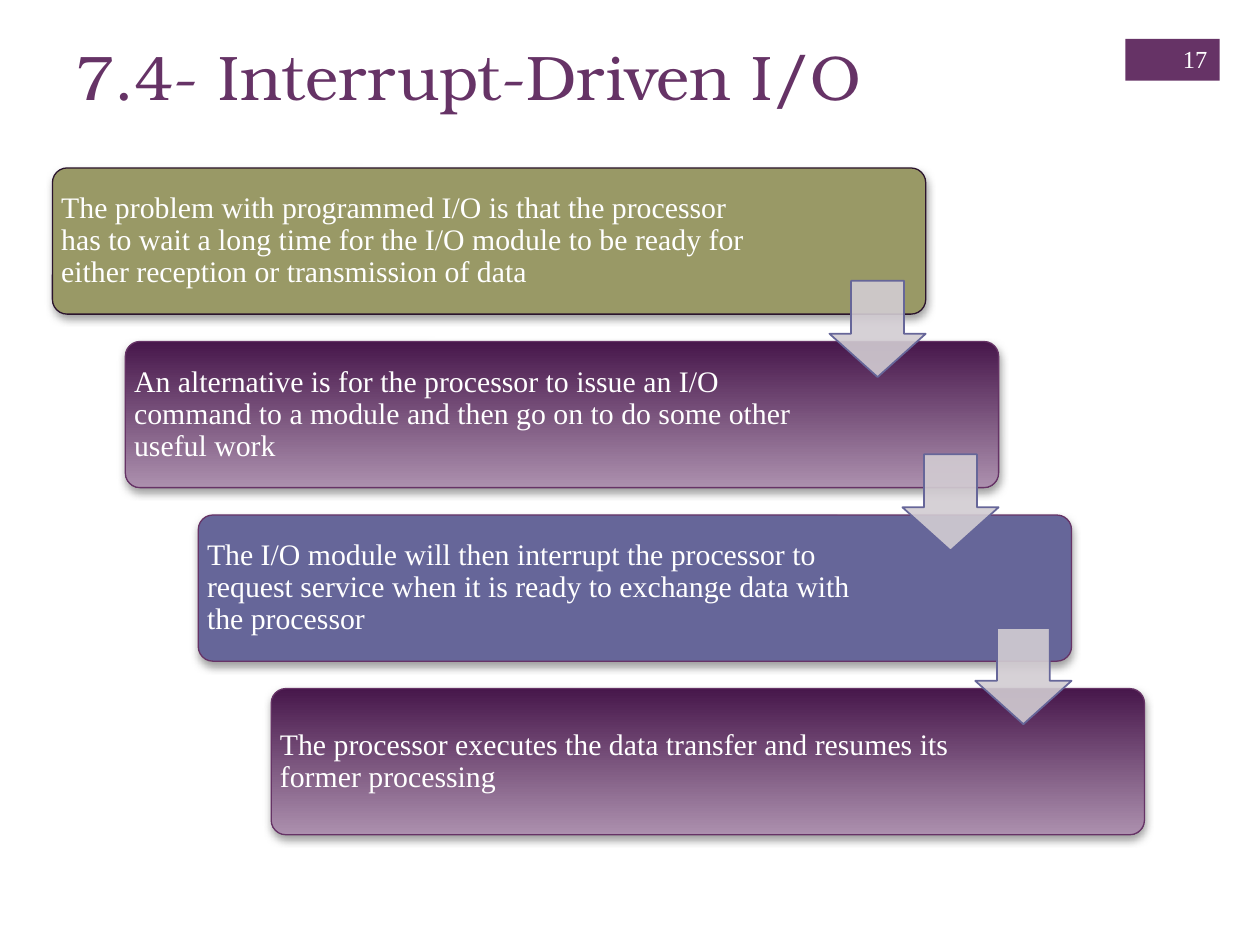
from lxml import etree
from pptx import Presentation
from pptx.dml.color import RGBColor
from pptx.enum.shapes import MSO_SHAPE
from pptx.enum.text import MSO_ANCHOR, PP_ALIGN
from pptx.oxml.ns import qn
from pptx.util import Pt

RECTANGLE = MSO_SHAPE.RECTANGLE
ROUNDED = MSO_SHAPE.ROUNDED_RECTANGLE
DOWN_ARROW = MSO_SHAPE.DOWN_ARROW
TOP, MIDDLE = MSO_ANCHOR.TOP, MSO_ANCHOR.MIDDLE
LEFT, RIGHT = PP_ALIGN.LEFT, PP_ALIGN.RIGHT

PURPLE = RGBColor(0x66, 0x33, 0x66)
DARK_PURPLE = RGBColor(0x47, 0x17, 0x4B)
PALE_PURPLE = RGBColor(0xAC, 0x90, 0xAE)
INK = RGBColor(0x2B, 0x14, 0x2D)
OLIVE = RGBColor(0x99, 0x99, 0x66)
SLATE = RGBColor(0x66, 0x66, 0x99)
ARROW_GREY = RGBColor(0xD2, 0xCC, 0xD2)
SHADOW_GREY = RGBColor(0x80, 0x80, 0x80)
WHITE = RGBColor(0xFF, 0xFF, 0xFF)

TITLE_FONT, BODY_FONT = "TeX Gyre Bonum", "Times New Roman"
GRADIENT = (DARK_PURPLE, PALE_PURPLE)
STEPS = [
    ("The problem with programmed I/O is that the processor has to wait a long time "
     "for the I/O module to be ready for either reception or transmission of data",
     OLIVE, INK, 404.6),
    ("An alternative is for the processor to issue an I/O command to a module "
     "and then go on to do some other useful work", GRADIENT, PURPLE, 402),
    ("The I/O module will then interrupt the processor to request service "
     "when it is ready to exchange data with the processor", SLATE, PURPLE, 402),
    ("The processor executes the data transfer and resumes its former processing",
     GRADIENT, PURPLE, 402),
]
STEP_WIDTH, STEP_HEIGHT = 499, 83.5
ARROW_SIZE = 55


def add_text(page, box, text, font, size, color, anchor=TOP, align=LEFT,
             insets=(7.2, 3.6), spacing=None):
    """Place one paragraph of wrapped text in the box."""
    frame = page.shapes.add_textbox(*map(Pt, box)).text_frame
    frame.word_wrap = True
    frame.vertical_anchor = anchor
    frame.margin_left = frame.margin_right = Pt(insets[0])
    frame.margin_top = frame.margin_bottom = Pt(insets[1])
    para = frame.paragraphs[0]
    para.text = text
    para.alignment = align
    para.line_spacing = spacing
    para.font.name = font
    para.font.size = Pt(size)
    para.font.color.rgb = color


def add_block(page, kind, box, fill, line=None, line_width=0.75):
    """Draw a preset shape with a solid or two-colour vertical fill."""
    shape = page.shapes.add_shape(kind, *map(Pt, box))
    shape.shadow.inherit = False
    if isinstance(fill, RGBColor):
        shape.fill.solid()
        shape.fill.fore_color.rgb = fill
    else:
        shape.fill.gradient()
        shape.fill.gradient_angle = 270
        for stop, color in zip(shape.fill.gradient_stops, fill):
            stop.color.rgb = color
    if line is None:
        shape.line.fill.background()
    else:
        shape.line.color.rgb = line
        shape.line.width = Pt(line_width)
    return shape


def add_alpha(color_element, percent):
    """Make a colour element partly transparent."""
    etree.SubElement(color_element, qn("a:alpha"), val=str(percent * 1000))


def add_drop_shadow(shape):
    """Give the shape a soft grey shadow below it."""
    effects = shape._element.spPr.find(qn("a:effectLst"))
    shadow = etree.SubElement(effects, qn("a:outerShdw"), blurRad=str(Pt(5)),
                              dist=str(Pt(2)), dir="5400000", rotWithShape="0")
    color = etree.SubElement(shadow, qn("a:srgbClr"), val=str(SHADOW_GREY))
    add_alpha(color, 75)


def add_step(page, box, text, fill, line, text_width):
    """Draw one rounded step with its text."""
    left, top, width, height = box
    shape = add_block(page, ROUNDED, box, fill, line)
    shape.adjustments[0] = 0.1
    add_drop_shadow(shape)
    add_text(page, (left, top, text_width, height), text, BODY_FONT, 17, WHITE,
             MIDDLE, insets=(5, 5), spacing=0.9)


def add_step_arrow(page, box):
    """Draw one translucent arrow leading to the next step."""
    arrow = add_block(page, DOWN_ARROW, box, ARROW_GREY, SLATE, 1)
    arrow.adjustments[0] = 0.55
    arrow.adjustments[1] = 0.45
    add_alpha(arrow._element.spPr.find(qn("a:solidFill"))[0], 90)


def add_staircase(page, box):
    """Lay the steps diagonally across the box, then join them with arrows."""
    left, top, width, height = box
    gaps = len(STEPS) - 1
    shift_x = (width - STEP_WIDTH) / gaps
    shift_y = (height - STEP_HEIGHT) / gaps
    corners = [(left + i * shift_x, top + i * shift_y) for i in range(len(STEPS))]
    for (x, y), step in zip(corners, STEPS):
        add_step(page, (x, y, STEP_WIDTH, STEP_HEIGHT), *step)
    for x, y in corners[:-1]:
        add_step_arrow(page, (x + STEP_WIDTH - ARROW_SIZE, y + 64.5,
                              ARROW_SIZE, ARROW_SIZE))


def add_page_number(page, box):
    """Draw the number tab in the top right corner."""
    left, top, width, height = box
    add_block(page, RECTANGLE, box, PURPLE)
    add_text(page, (left + 10, top - 3, width - 10, height + 5), "17",
             BODY_FONT, 14, WHITE, MIDDLE, RIGHT)


def main():
    """Build and save the deck."""
    deck = Presentation()
    deck.slide_width, deck.slide_height = Pt(720), Pt(540)
    page = deck.slides.add_slide(deck.slide_layouts[6])
    add_text(page, (36, 18, 595, 88), "7.4- Interrupt-Driven I/O",
             TITLE_FONT, 36, PURPLE)
    add_staircase(page, (30, 96, 624, 381))
    add_page_number(page, (643, 22.3, 54, 23.8))
    deck.save("out.pptx")


if __name__ == "__main__":
    main()
